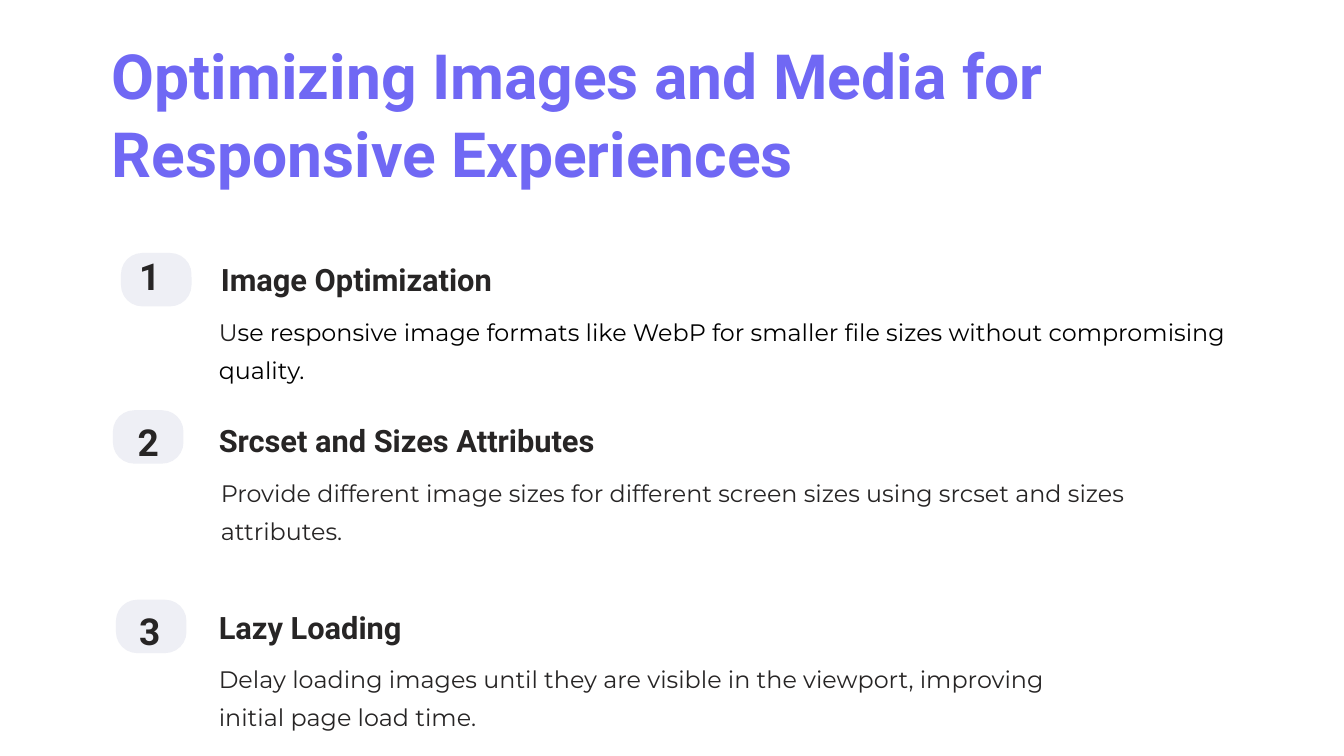
"""Builds a slide of three numbered tips on responsive images and media."""
from pptx import Presentation
from pptx.dml.color import RGBColor
from pptx.enum.shapes import MSO_SHAPE
from pptx.enum.text import MSO_ANCHOR, MSO_AUTO_SIZE, PP_ALIGN
from pptx.util import Inches, Pt

VIOLET = RGBColor(0x70, 0x68, 0xF4)
INK = RGBColor(0x27, 0x25, 0x25)
BLACK = RGBColor(0x00, 0x00, 0x00)
BADGE = RGBColor(0xEE, 0xEF, 0xF5)

TIPS = [
    {
        "badge": (1.2, 2.51),
        "number": (1.4, 2.59, 0.17, 0.37),
        "heading": (2.19, 2.56, 4.11, 0.39),
        "body": (2.17, 3.06, 10.03, 0.76),
        "title": "Image Optimization",
        "runs": [
            ("U", INK),
            ("se responsive image formats like WebP for smaller file sizes "
             "without compromising quality.", BLACK),
        ],
    },
    {
        "badge": (1.12, 4.07),
        "number": (1.33, 4.23, 0.28, 0.37),
        "heading": (2.17, 4.16, 4.96, 0.39),
        "body": (2.19, 4.66, 9.67, 0.76),
        "title": "Srcset and Sizes Attributes",
        "runs": [
            ("Provide different image sizes for different screen sizes "
             "using srcset and sizes attributes.", INK),
        ],
    },
    {
        "badge": (1.15, 5.95),
        "number": (1.35, 6.11, 0.27, 0.37),
        "heading": (2.17, 6.02, 4.11, 0.39),
        "body": (2.17, 6.5, 8.82, 0.76),
        "title": "Lazy Loading",
        "runs": [
            ("Delay loading images until they are visible in the viewport, "
             "improving initial page load time.", INK),
        ],
    },
]


def write_text(sp, runs, size, spacing, font="Roboto", bold=True,
               align=PP_ALIGN.LEFT, wrap=True):
    tf = sp.text_frame
    tf.margin_left = tf.margin_top = tf.margin_right = tf.margin_bottom = 0
    tf.auto_size = MSO_AUTO_SIZE.NONE
    tf.vertical_anchor = MSO_ANCHOR.TOP
    tf.word_wrap = wrap
    p = tf.paragraphs[0]
    p.alignment = align
    p.line_spacing = Pt(spacing)
    p.font.name = font
    p.font.size = Pt(size)
    p.font.bold = bold
    for text, color in runs:
        r = p.add_run()
        r.text = text
        r.font.color.rgb = color


def add_title(s, text):
    sp = s.shapes.title
    sp.left, sp.top = Inches(1.11), Inches(0.33)
    sp.width, sp.height = Inches(11), Inches(1.56)
    write_text(sp, [(text, VIOLET)], 44.5, 56)


def add_text(s, box, runs, size, spacing, **style):
    sp = s.shapes.add_textbox(*map(Inches, box))
    write_text(sp, runs, size, spacing, **style)


def add_badge(s, left, top):
    sp = s.shapes.add_shape(MSO_SHAPE.ROUNDED_RECTANGLE, Inches(left),
                            Inches(top), Inches(0.7), Inches(0.53))
    sp.adjustments[0] = 0.4
    sp.shadow.inherit = False
    sp.fill.solid()
    sp.fill.fore_color.rgb = BADGE
    sp.line.fill.background()


def add_tip(s, number, tip):
    add_badge(s, *tip["badge"])
    add_text(s, tip["number"], [(str(number), INK)], 26.5, 26.5,
             align=PP_ALIGN.CENTER, wrap=False)
    add_text(s, tip["heading"], [(tip["title"], INK)], 22, 28, wrap=False)
    add_text(s, tip["body"], tip["runs"], 17, 27, font="Montserrat", bold=False)


def main():
    prs = Presentation()
    prs.slide_width, prs.slide_height = Inches(13.33), Inches(7.5)
    s = prs.slides.add_slide(prs.slide_layouts[5])
    add_title(s, "Optimizing Images and Media for Responsive Experiences")
    for number, tip in enumerate(TIPS, 1):
        add_tip(s, number, tip)
    prs.save("out.pptx")


if __name__ == "__main__":
    main()
